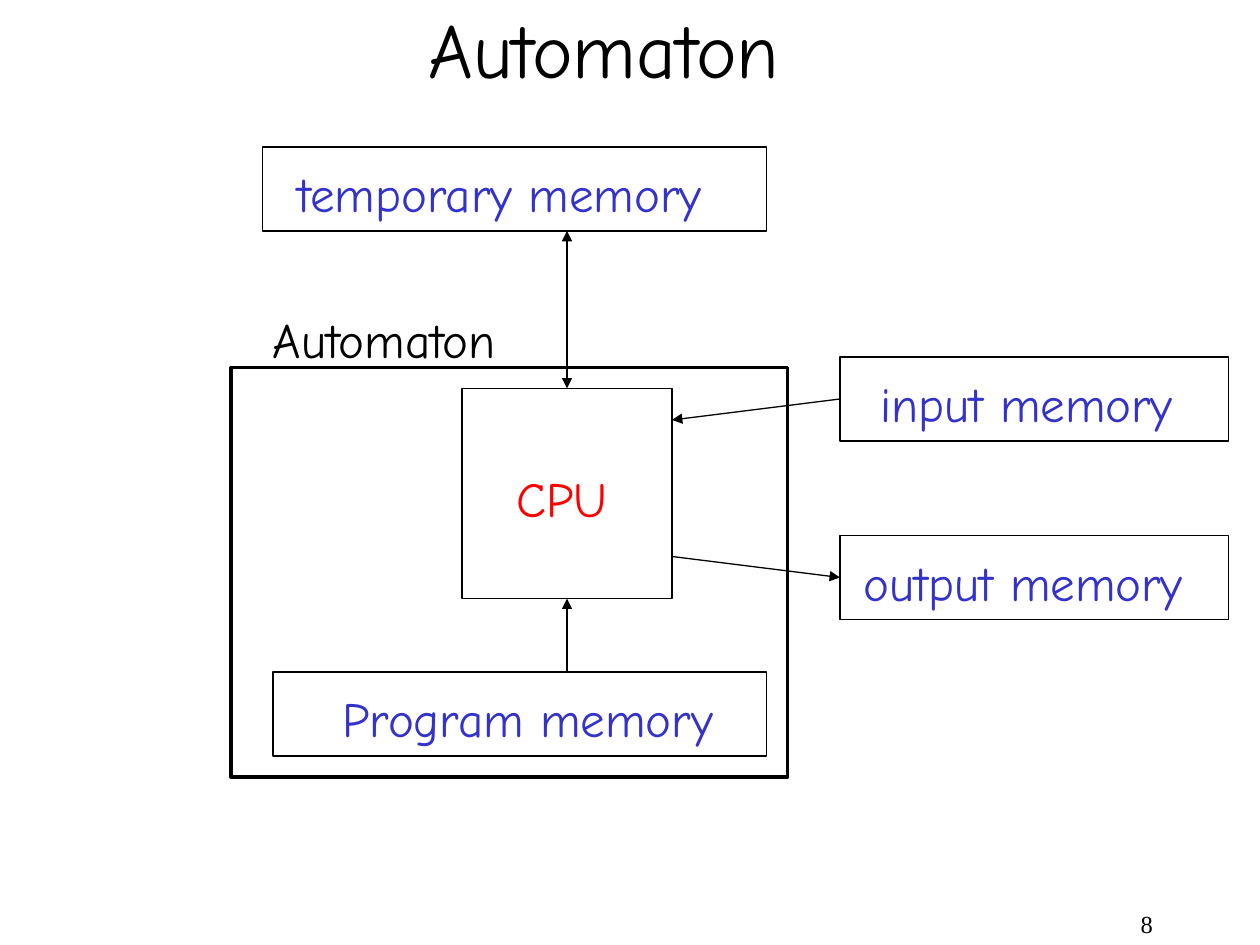
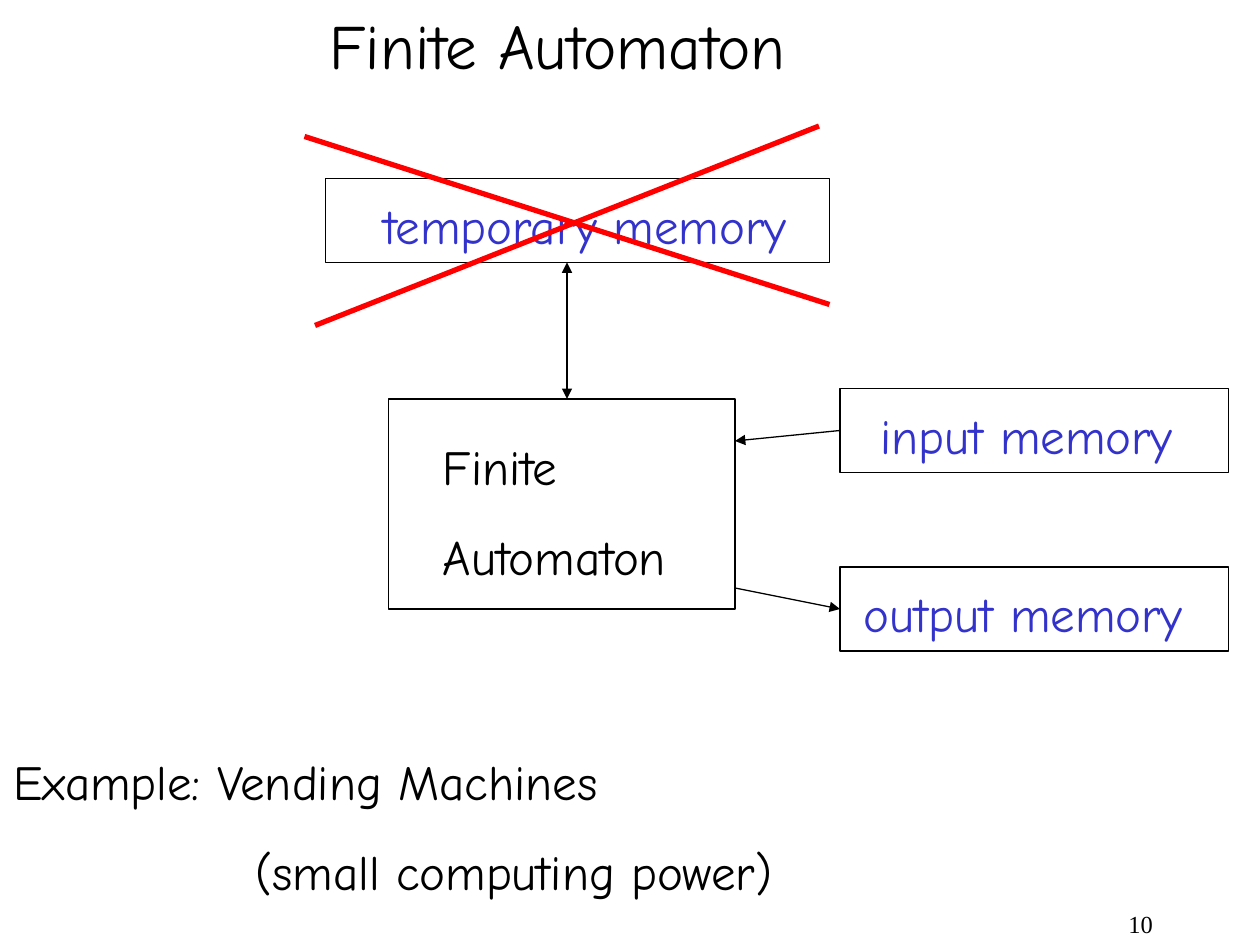
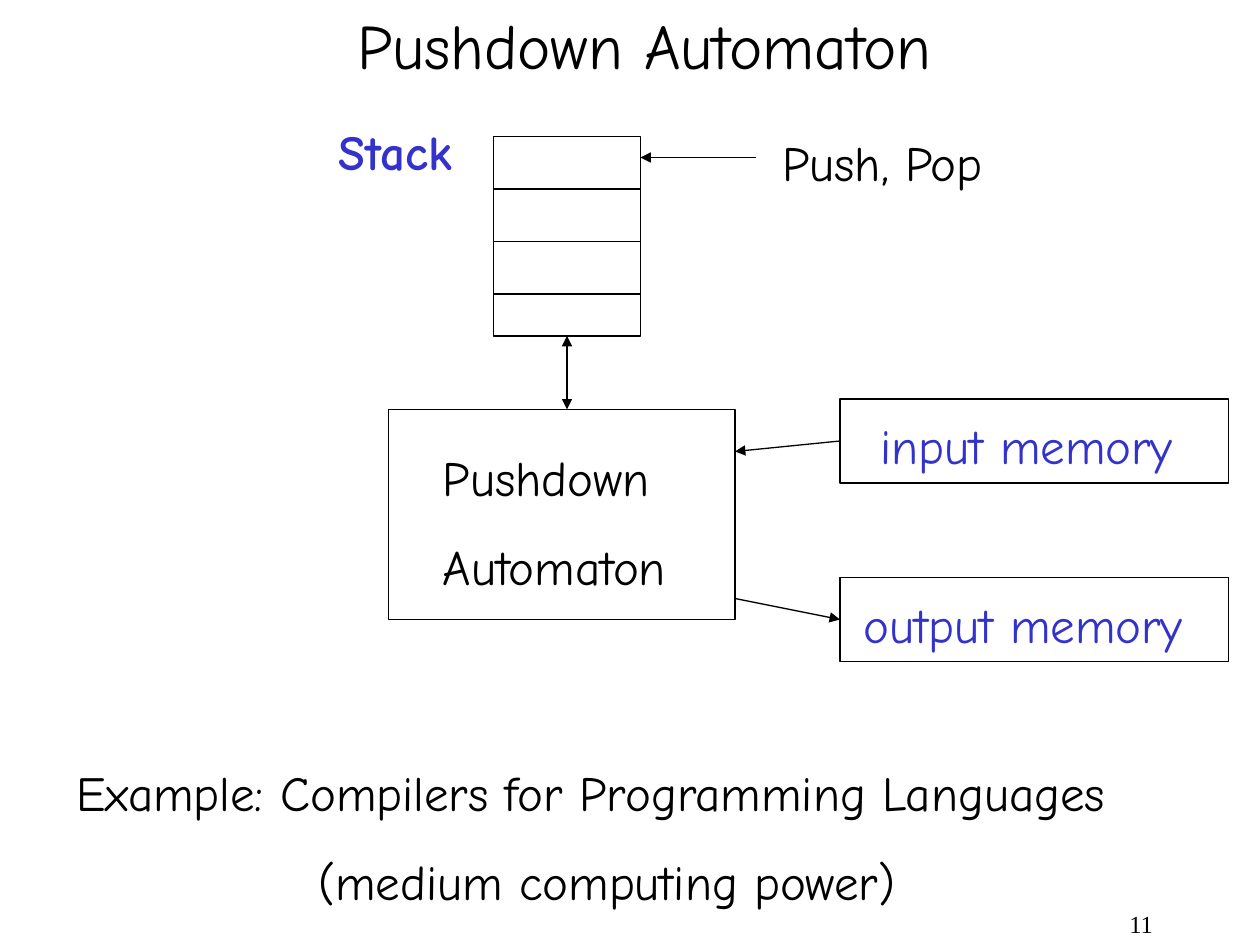
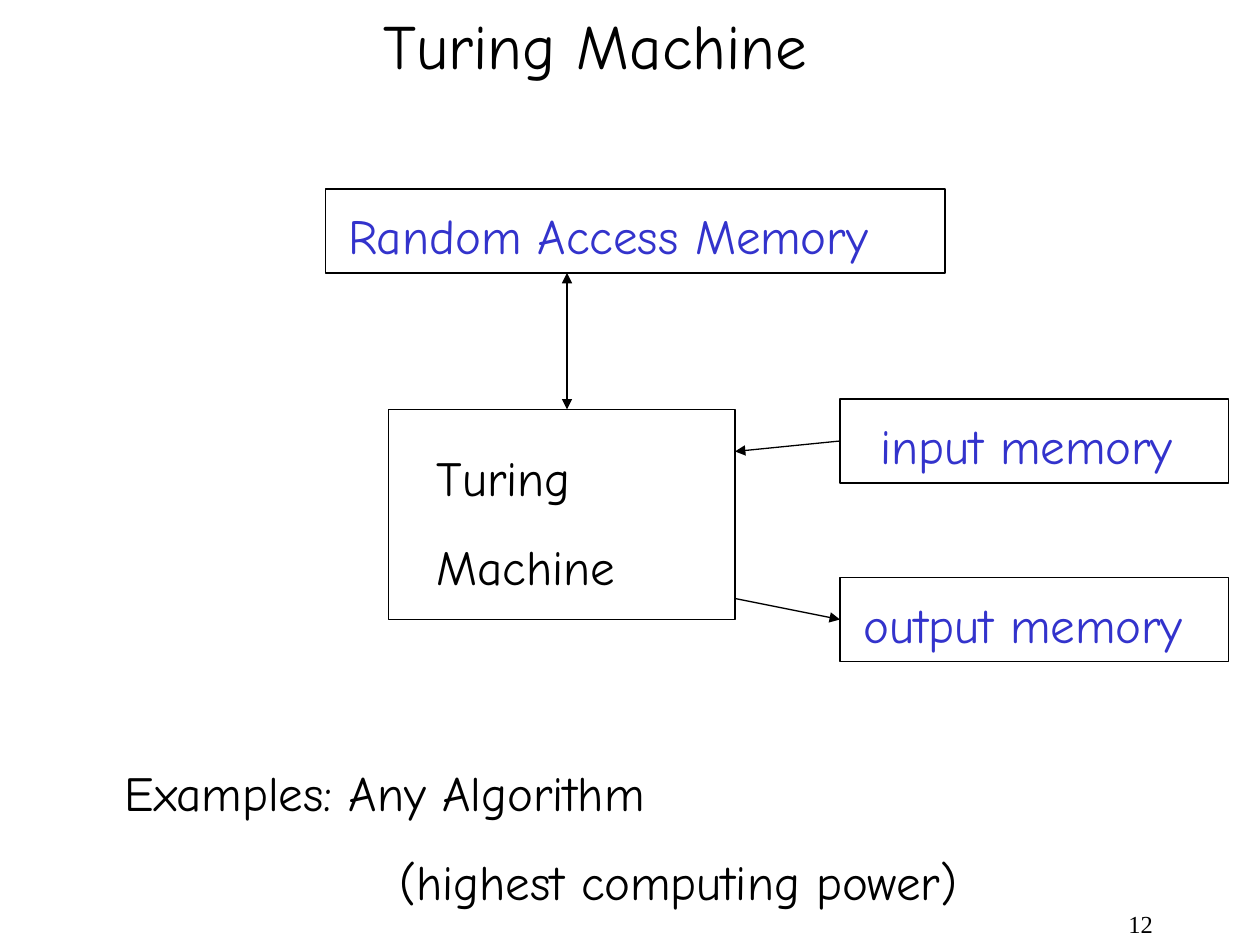
from lxml.etree import SubElement
from pptx import Presentation
from pptx.dml.color import RGBColor
from pptx.enum.shapes import MSO_CONNECTOR, MSO_SHAPE
from pptx.enum.text import MSO_ANCHOR, MSO_AUTO_SIZE, PP_ALIGN
from pptx.oxml.ns import qn
from pptx.util import Inches, Pt

# Every place is (column, row, width, height) on a grid of 12 cells to the inch.
COLUMNS, ROWS = 120, 90
COLORS = {"ink": "000000", "memory": "3333CC", "alert": "FF0000"}
FONT, NUMBER_FONT = "Comic Neue", "Times New Roman"
TEXT_SIZE, TITLE_SIZE = 28, 36
LINE_HEIGHT, TWO_LINES = 6.8, 15.4
AXIS = 54  # column of the vertical arrows
MEMORY_COLUMN, MEMORY_WIDTH, MEMORY_HEIGHT = 80, 37, 8
OUTPUT_DROP = 17  # rows from input memory to output memory
TOP, LEFT, BOTTOM = 0, 1, 2

# Labels are (text, column, width).
INPUT_LABEL = ("input memory", 82.7, 30.2)
OUTPUT_LABEL = ("output memory", 81.1, 32.8)

SLIDES = [
    {
        "number": "8",
        "title": "Automaton", "title_place": (39.6, -0.5, 36.2, 10.1), "title_size": 44,
        "store": (25, 14, 48, 8), "store_label": ("temporary memory", 27.2, 41),
        "processor": (44, 37, 20, 20),
        "input_row": 34, "input_slope": 2,
        "program": (26, 64, 47, 8), "program_label": ("Program memory", 31.4, 37.9),
        "frame": (22, 35, 53, 39),
    },
    {
        "number": "10",
        "title": "Finite Automaton", "title_place": (30.2, 0, 46.3, 8.4),
        "store": (31, 17, 48, 8), "store_label": ("temporary memory", 35.3, 41),
        "processor": (37, 38, 33, 20), "name": (["Finite", "Automaton"], 41, 23.9),
        "input_row": 37, "input_slope": 1,
        "cross": [((29, 13), (79, 29)), ((30, 31), (78, 12))],
        "example": ["Example: Vending Machines", "(small computing power)"],
        "example_place": (0.1, 71, 75.1, TWO_LINES), "example_indent": 1.92,
    },
    {
        "number": "11",
        "title": "Pushdown Automaton", "title_place": (32.8, 0, 57.5, 8.4),
        "store": (47, 13, 14, 19), "stack_step": 5,
        "processor": (37, 39, 33, 20), "name": (["Pushdown", "Automaton"], 41, 23.9),
        "input_row": 38, "input_slope": 1,
        "example": ["Example: Compilers for Programming Languages",
                    "(medium computing power)"],
        "example_place": (6.1, 72, 103.9, TWO_LINES), "example_indent": 1.92,
    },
    {
        "number": "12",
        "title": "Turing Machine", "title_place": (35.3, 0, 42.7, 8.4),
        "store": (31, 18, 59, 8), "store_label": ("Random Access Memory", 32, 56),
        "processor": (37, 39, 33, 20), "name": (["Turing", "Machine"], 40.4, 19.4),
        "input_row": 38, "input_slope": 1,
        "example": ["Examples: Any Algorithm", "(highest computing power)"],
        "example_place": (10.7, 72, 82.1, TWO_LINES), "example_indent": 2.18,
    },
]


def cells(*values):
    return [Inches(value / 12) for value in values]


def color(name):
    return RGBColor.from_string(COLORS[name])


def write(text_frame, lines, size=TEXT_SIZE, ink="ink", bold=False, font=FONT,
          align=PP_ALIGN.LEFT, indent=0):
    """Fill a text frame; indent, in inches, moves the lines after the first."""
    text_frame.word_wrap = True
    text_frame.auto_size = MSO_AUTO_SIZE.NONE
    text_frame.vertical_anchor = MSO_ANCHOR.TOP
    if align == PP_ALIGN.LEFT:
        text_frame.margin_right = 0
    for index, line in enumerate(lines):
        paragraph = text_frame.paragraphs[0] if index == 0 else text_frame.add_paragraph()
        paragraph.text = line
        paragraph.alignment = align
        paragraph.space_before = Pt(17.5 if index else 0)
        if index and indent:
            paragraph._p.get_or_add_pPr().set("marL", str(Inches(indent)))
        paragraph.font.name = font
        paragraph.font.size = Pt(size)
        paragraph.font.bold = bold
        paragraph.font.color.rgb = color(ink)


def add_text(slide, lines, place, **text_format):
    write(slide.shapes.add_textbox(*cells(*place)).text_frame, lines, **text_format)


def add_box(slide, place, width=0.75):
    shape = slide.shapes.add_shape(MSO_SHAPE.RECTANGLE, *cells(*place))
    shape.shadow.inherit = False
    shape.fill.background()
    shape.line.color.rgb = color("ink")
    shape.line.width = Pt(width)
    return shape


def add_memory(slide, place, label):
    text, column, width = label
    box = add_box(slide, place)
    add_text(slide, [text], (column, place[1] + 1, width, LINE_HEIGHT), ink="memory")
    return box


def add_line(slide, start, end, arrows=(), ink="ink", width=0.75):
    """Draw a straight line; arrows names its pointed ends, headEnd or tailEnd."""
    connector = slide.shapes.add_connector(
        MSO_CONNECTOR.STRAIGHT, *cells(*start, *end))
    connector.line.color.rgb = color(ink)
    connector.line.width = Pt(width)
    outline = connector.line._get_or_add_ln()
    for arrow in arrows:
        SubElement(outline, qn(f"a:{arrow}"), type="triangle")
    SubElement(connector._element.spPr, qn("a:effectLst"))
    return connector


def add_title(slide, content):
    title = slide.shapes.title
    title.left, title.top, title.width, title.height = cells(*content["title_place"])
    write(title.text_frame, [content["title"]], size=content.get("title_size", TITLE_SIZE))


def add_stack(slide, place, step):
    column, row, width, height = place
    right = column + width
    box = add_box(slide, place)
    for divider in range(row + step, row + height, step):
        add_line(slide, (column, divider), (right, divider))
    add_line(slide, (right + 11, row + 2), (right, row + 2), ["tailEnd"])
    add_text(slide, ["Stack"], (31.1, row - 2, 13.3, LINE_HEIGHT), ink="memory", bold=True)
    add_text(slide, ["Push, Pop"], (73.3, row - 1, 21.7, LINE_HEIGHT))
    return box


def add_input_output(slide, content):
    column, _, width, _ = content["processor"]
    right = column + width
    input_row = content["input_row"]
    output_row = input_row + OUTPUT_DROP
    size = (MEMORY_WIDTH, MEMORY_HEIGHT)
    input_box = add_memory(slide, (MEMORY_COLUMN, input_row, *size), INPUT_LABEL)
    output_box = add_memory(slide, (MEMORY_COLUMN, output_row, *size), OUTPUT_LABEL)
    input_middle = input_row + MEMORY_HEIGHT / 2
    output_middle = output_row + MEMORY_HEIGHT / 2
    add_line(slide, (MEMORY_COLUMN, input_middle),
             (right, input_middle + content["input_slope"]),
             ["tailEnd"]).begin_connect(input_box, LEFT)
    add_line(slide, (right, output_middle - 2), (MEMORY_COLUMN, output_middle),
             ["tailEnd"]).end_connect(output_box, LEFT)


def add_machine(slide, content):
    column, row, width, height = content["processor"]
    store = content["store"]
    processor_box = add_box(slide, content["processor"])
    if "stack_step" in content:
        store_box = add_stack(slide, store, content["stack_step"])
    else:
        store_box = add_memory(slide, store, content["store_label"])
    store_arrow = add_line(slide, (AXIS, store[1] + store[3]), (AXIS, row),
                           ["headEnd", "tailEnd"])
    if store[0] + store[2] / 2 == AXIS:
        store_arrow.begin_connect(store_box, BOTTOM)
    if column + width / 2 == AXIS:
        store_arrow.end_connect(processor_box, TOP)
    add_input_output(slide, content)
    if "name" in content:
        lines, name_column, name_width = content["name"]
        add_text(slide, lines, (name_column, row + 3, name_width, TWO_LINES))
    if "program" in content:
        add_memory(slide, content["program"], content["program_label"])
        add_line(slide, (AXIS, content["program"][1]), (AXIS, row + height),
                 ["tailEnd"]).end_connect(processor_box, BOTTOM)
        add_text(slide, ["CPU"], (48, row + 7, 11, LINE_HEIGHT), ink="alert")
        add_box(slide, content["frame"], width=2)
        add_text(slide, ["Automaton"], (24.8, 28.9, 23.9, LINE_HEIGHT))
    for start, end in content.get("cross", []):
        add_line(slide, start, end, ink="alert", width=3)


def main():
    presentation = Presentation()
    presentation.slide_width, presentation.slide_height = cells(COLUMNS, ROWS)
    title_only = presentation.slide_layouts.get_by_name("Title Only")
    for content in SLIDES:
        slide = presentation.slides.add_slide(title_only)
        add_title(slide, content)
        add_machine(slide, content)
        if "example" in content:
            add_text(slide, content["example"], content["example_place"],
                     indent=content["example_indent"])
        add_text(slide, [content["number"]], (86, 86, 25, 4), size=14,
                 font=NUMBER_FONT, align=PP_ALIGN.RIGHT)
    presentation.save("out.pptx")


if __name__ == "__main__":
    main()
